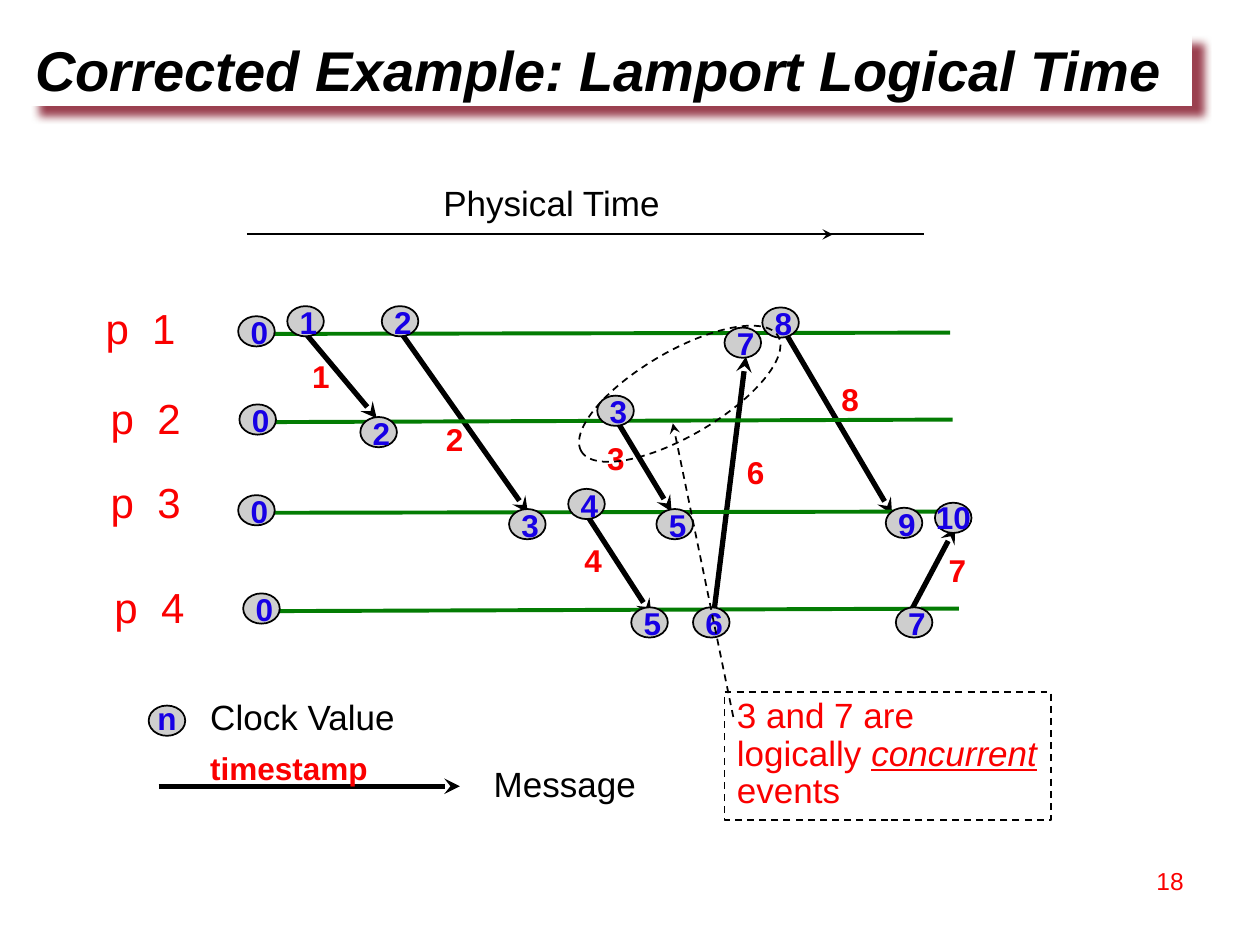
from lxml import etree
from pptx import Presentation
from pptx.dml.color import RGBColor
from pptx.enum.dml import MSO_LINE
from pptx.enum.shapes import MSO_CONNECTOR, MSO_SHAPE
from pptx.enum.text import MSO_ANCHOR, PP_ALIGN
from pptx.oxml.ns import qn
from pptx.util import Pt

PX = 9144
FONT = "Arial"
BLACK = RGBColor(0x00, 0x00, 0x00)
WHITE = RGBColor(0xFF, 0xFF, 0xFF)
RED = RGBColor(0xFA, 0x00, 0x00)
GREEN = RGBColor(0x03, 0x7C, 0x03)
BLUE = RGBColor(0x17, 0x00, 0xE5)
GREY = RGBColor(0xCE, 0xCE, 0xCE)
MAROON = RGBColor(0x79, 0x00, 0x15)
RECT, OVAL = MSO_SHAPE.RECTANGLE, MSO_SHAPE.OVAL
STRAIGHT = MSO_CONNECTOR.STRAIGHT
DASH = MSO_LINE.DASH
LEFT, TOP, MIDDLE = PP_ALIGN.LEFT, MSO_ANCHOR.TOP, MSO_ANCHOR.MIDDLE

presentation = Presentation()
presentation.slide_width, presentation.slide_height = 1000 * PX, 750 * PX
slide = presentation.slides.add_slide(presentation.slide_layouts[6])
shapes = slide.shapes


def write(holder, text, size=18, color=BLACK, bold=False, italic=False,
          underline=False, spacing=0.9, anchor=TOP):
    frame = holder.text_frame
    frame.word_wrap = True
    frame.vertical_anchor = anchor
    paragraph = frame.paragraphs[0]
    paragraph.alignment = LEFT
    paragraph.line_spacing = spacing
    run = paragraph.add_run()
    run.text = text
    font = run.font
    font.name, font.size, font.color.rgb = FONT, Pt(size), color
    font.bold, font.italic, font.underline = bold, italic, underline


def draw_line(ends, color=BLACK, width=1, dash=None, arrow=True):
    connector = shapes.add_connector(STRAIGHT, *[end * PX for end in ends])
    connector.line.color.rgb = color
    connector.line.width = Pt(width)
    if dash:
        connector.line.dash_style = dash
    if arrow:
        outline = connector.line._get_or_add_ln()
        etree.SubElement(outline, qn("a:tailEnd"), type="stealth")
    etree.SubElement(connector._element.spPr, qn("a:effectLst"))


title = shapes.add_shape(RECT, 23 * PX, 26 * PX, 923 * PX, 58 * PX)
title.fill.solid()
title.fill.fore_color.rgb = WHITE
title.line.fill.background()
title.shadow.inherit = False
effects = title._element.spPr.find(qn("a:effectLst"))
title_shadow = etree.SubElement(effects, qn("a:outerShdw"), blurRad=str(Pt(5)),
                                dist=str(Pt(8.5)), dir="2700000",
                                algn="ctr", rotWithShape="0")
shadow_color = etree.SubElement(title_shadow, qn("a:srgbClr"), val=str(MAROON))
etree.SubElement(shadow_color, qn("a:alpha"), val="75000")
title_text = title.text_frame
title_text.margin_left = title_text.margin_right = 5 * PX
title_text.margin_top = title_text.margin_bottom = 2 * PX
write(title, "Corrected Example: Lamport Logical Time", size=32, bold=True,
      italic=True, spacing=1.0, anchor=MIDDLE)

messages = [
    (242, 264, 299, 332), (319, 265, 419, 407), (464, 406, 517, 488),
    (489, 333, 533, 406), (567, 483, 592, 283), (625, 267, 708, 408),
    (724, 483, 758, 419), (126, 624, 365, 624),
]
for message in messages:
    draw_line(message, width=3)

timelines = [
    (214, 265, 754, 264), (215, 335, 756, 333),
    (215, 407, 756, 406), (221, 485, 761, 483),
]
for timeline in timelines:
    draw_line(timeline, color=GREEN, width=2.25, arrow=False)

draw_line((632, 186, 661, 186))
draw_line((196, 186, 733, 186), arrow=False)

clocks = [
    ("1", 228, 243), ("2", 286, 331), ("2", 303, 243), ("3", 404, 404),
    ("3", 474, 314), ("5", 521, 404), ("4", 451, 388), ("5", 501, 482),
    ("7", 575, 260), ("6", 550, 482), ("8", 605, 244), ("9", 703, 403),
    ("10", 742, 399), ("7", 711, 482), ("0", 189, 251), ("0", 190, 321),
    ("0", 189, 393), ("0", 193, 471), ("n", 118, 560),
]
label_offsets = {"10": (-9, -5, 49), "n": (-3, -7, 24)}
for value, left, top in clocks:
    clock = shapes.add_shape(OVAL, left * PX, top * PX, 29 * PX, 24 * PX)
    clock.shadow.inherit = False
    clock.fill.solid()
    clock.fill.fore_color.rgb = GREY
    clock.line.color.rgb = BLACK
    clock.line.width = Pt(1)
    dx, dy, width = label_offsets.get(value, (0, -4, 24))
    label = shapes.add_textbox((left + dx) * PX, (top + dy) * PX,
                               width * PX, 37 * PX)
    write(label, value, color=BLUE, bold=True)

process = dict(size=24, color=RED)
stamp = dict(size=18, color=RED, bold=True)
caption = dict(size=20)
labels = [
    ("p  1", 74, 240, 126, 46, process),
    ("p  2", 78, 311, 126, 46, process),
    ("p  3", 78, 378, 126, 46, process),
    ("p  4", 81, 461, 126, 46, process),
    ("1", 238, 282, 40, 37, stamp),
    ("2", 344, 332, 40, 37, stamp),
    ("4", 454, 428, 40, 37, stamp),
    ("3", 472, 347, 40, 37, stamp),
    ("6", 583, 358, 40, 37, stamp),
    ("7", 743, 436, 40, 37, stamp),
    ("8", 658, 300, 40, 37, stamp),
    ("timestamp", 157, 593, 149, 37, stamp),
    ("Clock Value", 157, 551, 182, 40, caption),
    ("Message", 382, 604, 182, 40, caption),
    ("Physical Time", 342, 143, 251, 40, caption),
    ("18", 908, 682, 57, 52, dict(size=14, color=RED, spacing=1.0)),
]
for text, left, top, width, height, style in labels:
    label = shapes.add_textbox(left * PX, top * PX, width * PX, height * PX)
    write(label, text, **style)

callout = shapes.add_shape(RECT, 575 * PX, 549 * PX, 259 * PX, 102 * PX)
write(callout, "3 and 7 are logically ", size=20, color=RED)
write(callout, "concurrent ", size=20, color=RED, italic=True, underline=True)
write(callout, "events", size=20, color=RED)
draw_line((582, 569, 534, 336), dash=DASH)
concurrent_pair = shapes.add_shape(OVAL, 449 * PX, 279 * PX, 181 * PX, 67 * PX)
concurrent_pair.rotation = 329.7
for dashed in (callout, concurrent_pair):
    dashed.shadow.inherit = False
    dashed.fill.background()
    dashed.line.color.rgb = BLACK
    dashed.line.width = Pt(1)
    dashed.line.dash_style = DASH

presentation.save("out.pptx")
